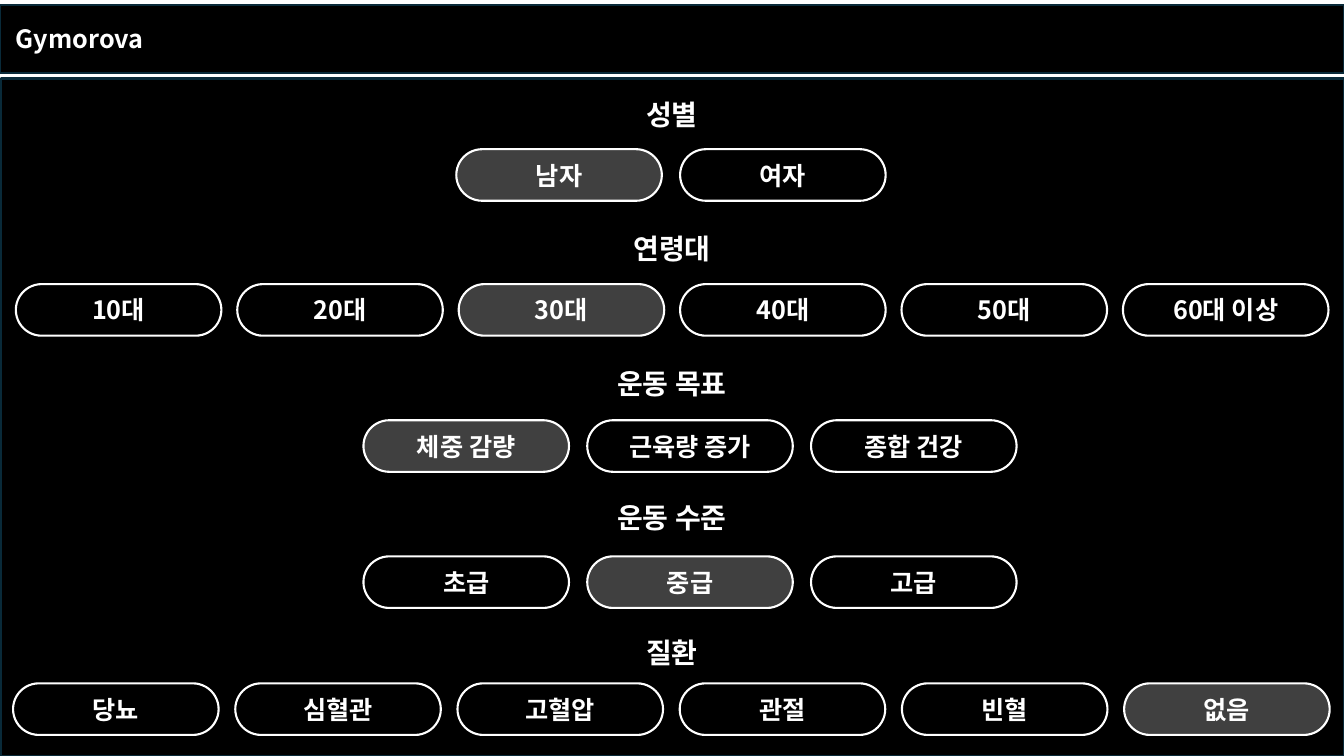
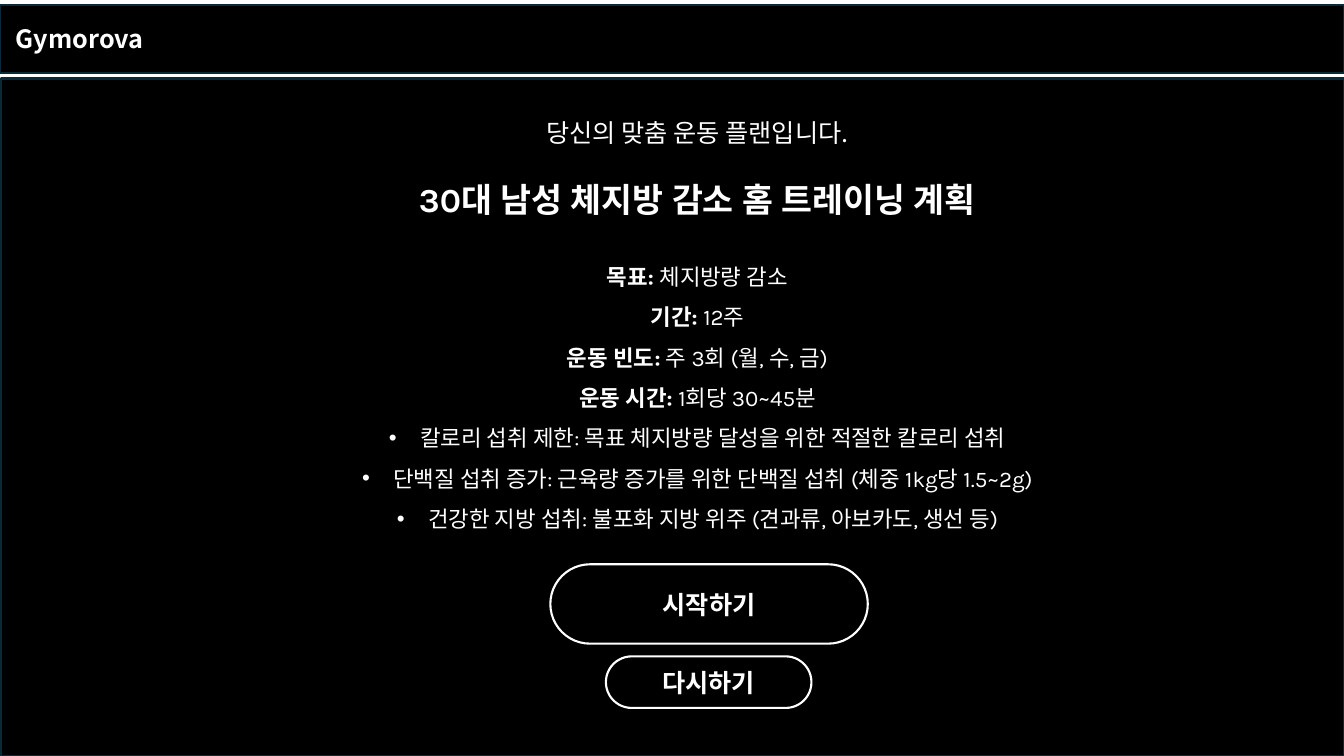
from lxml.etree import SubElement
from pptx import Presentation
from pptx.dml.color import RGBColor
from pptx.enum.shapes import MSO_SHAPE
from pptx.enum.text import MSO_ANCHOR, MSO_AUTO_SIZE, PP_ALIGN
from pptx.oxml.ns import qn
from pptx.util import Cm, Pt

COLORS = {
    "black": "000000",
    "selected": "404040",
    "white": "FFFFFF",
    "edge": "092A39",
}
SANS = "Noto Sans CJK KR"
KARLA = "Karla"
APP_NAME = "Gymorova"

SLIDE_WIDTH, SLIDE_HEIGHT = 33.87, 19.05
BUTTON_WIDTH, BUTTON_HEIGHT = 5.18, 1.3
HEADING_TOP, HEADING_PITCH, HEADING_HEIGHT = 2.17, 3.39, 1.4

# Heading, top and left of the first button, pitch, options, chosen option
QUESTIONS = [
    ("성별", 3.76, 11.5, 5.64, ["남자", "여자"], "남자"),
    ("연령대", 7.16, 0.4, 5.58,
     ["10대", "20대", "30대", "40대", "50대", "60대 이상"], "30대"),
    ("운동 목표", 10.59, 9.16, 5.64,
     ["체중 감량", "근육량 증가", "종합 건강"], "체중 감량"),
    ("운동 수준", 14.02, 9.16, 5.64, ["초급", "중급", "고급"], "중급"),
    ("질환", 17.22, 0.33, 5.6,
     ["당뇨", "심혈관", "고혈압", "관절", "빈혈", "없음"], "없음"),
]
PLAN_FACTS = [
    ("목표: ", "체지방량 감소"),
    ("기간: ", "12주"),
    ("운동 빈도:", " 주 3회 (월, 수, 금)"),
    ("운동 시간: ", "1회당 30~45분"),
]
DIET_TIPS = [
    "칼로리 섭취 제한: 목표 체지방량 달성을 위한 적절한 칼로리 섭취",
    "단백질 섭취 증가: 근육량 증가를 위한 단백질 섭취 (체중 1kg당 1.5~2g)",
    "건강한 지방 섭취: 불포화 지방 위주 (견과류, 아보카도, 생선 등)",
]


def color(name):
    return RGBColor.from_string(COLORS[name])


def place(shape, left, top, width, height):
    shape.left, shape.top = Cm(left), Cm(top)
    shape.width, shape.height = Cm(width), Cm(height)


def paint(shape, fill, line):
    shape.fill.solid()
    shape.fill.fore_color.rgb = color(fill)
    shape.line.color.rgb = color(line)
    shape.line.width = Pt(1.5)


def style(paragraph, size, face=SANS, bold=False, align=PP_ALIGN.CENTER):
    """Set alignment and font, with the same face for Hangul."""
    paragraph.alignment = align
    font = paragraph.font
    font.size, font.bold, font.name = Pt(size), bold, face
    font.color.rgb = color("white")
    properties = paragraph._p.get_or_add_pPr().find(qn("a:defRPr"))
    SubElement(properties, qn("a:ea")).set("typeface", face)


def set_bullet(paragraph, bulleted):
    properties = paragraph._p.get_or_add_pPr()
    indent = Cm(0.79) if bulleted else 0
    properties.set("marL", str(indent))
    properties.set("indent", str(-indent))
    if not bulleted:
        properties.insert_element_before(
            properties.makeelement(qn("a:buNone")), "a:tabLst", "a:defRPr", "a:extLst")


def add_app_slide(prs, layout_index):
    """Add a slide with the app's title bar and the black panel below it."""
    slide = prs.slides.add_slide(prs.slide_layouts[layout_index])
    app_bar = slide.shapes.title
    place(app_bar, 0, 0.13, SLIDE_WIDTH, 1.7)
    paint(app_bar, "black", "edge")
    frame = app_bar.text_frame
    frame.text = APP_NAME
    frame.margin_left = Cm(0.4)
    frame.vertical_anchor = MSO_ANCHOR.MIDDLE
    style(frame.paragraphs[0], 18, bold=True, align=PP_ALIGN.LEFT)

    panel = slide.shapes.add_shape(
        MSO_SHAPE.RECTANGLE, Cm(0.03), Cm(1.98), Cm(33.84), Cm(17.07))
    panel.shadow.inherit = False
    paint(panel, "black", "edge")
    slide.shapes._spTree.insert(2, panel._element)  # behind the placeholders
    return slide


def add_button(slide, label, left, top, width=BUTTON_WIDTH,
               height=BUTTON_HEIGHT, selected=False):
    button = slide.shapes.add_shape(
        MSO_SHAPE.ROUNDED_RECTANGLE, Cm(left), Cm(top), Cm(width), Cm(height))
    button.adjustments[0] = 0.5
    button.shadow.inherit = False
    paint(button, "selected" if selected else "black", "white")
    button.text_frame.text = label
    button.text_frame.vertical_anchor = MSO_ANCHOR.MIDDLE
    style(button.text_frame.paragraphs[0], 18, bold=True)


def add_heading(slide, text, top):
    heading = slide.shapes.add_textbox(
        0, Cm(top), Cm(SLIDE_WIDTH), Cm(HEADING_HEIGHT))
    frame = heading.text_frame
    frame.word_wrap = True
    frame.vertical_anchor = MSO_ANCHOR.MIDDLE
    frame.text = text
    style(frame.paragraphs[0], 20, bold=True)


def add_survey_slide(prs):
    slide = add_app_slide(prs, 5)
    for row, (heading, top, left, pitch, options, chosen) in enumerate(QUESTIONS):
        add_heading(slide, heading, HEADING_TOP + row * HEADING_PITCH)
        for column, option in enumerate(options):
            add_button(slide, option, left + column * pitch, top,
                       selected=option == chosen)


def add_plan_line(frame, text, size, face=KARLA, label="", bold=False,
                  bulleted=False, spacing=1.0, after=0):
    """Append a paragraph, led by an optional bold label."""
    first = frame.paragraphs[0]
    line = frame.add_paragraph() if first.runs else first
    if label:
        lead = line.add_run()
        lead.text = label
        lead.font.bold = True
    line.add_run().text = text
    line.line_spacing = spacing
    line.space_before, line.space_after = Pt(0), Pt(after)
    style(line, size, face, bold)
    set_bullet(line, bulleted)


def add_plan_slide(prs):
    slide = add_app_slide(prs, 1)
    plan = slide.placeholders[1]
    place(plan, 7.49, 2.84, 20.17, 11.53)
    frame = plan.text_frame
    frame.auto_size = MSO_AUTO_SIZE.NONE
    add_plan_line(frame, "당신의 맞춤 운동 플랜입니다.", 18, SANS, after=22)
    add_plan_line(frame, "30대 남성 체지방 감소 홈 트레이닝 계획", 24,
                  bold=True, after=22)
    for label, value in PLAN_FACTS:
        add_plan_line(frame, value, 16, label=label, spacing=1.5)
    for tip in DIET_TIPS:
        add_plan_line(frame, tip, 16, bulleted=True, spacing=1.5)
    add_button(slide, "시작하기", 13.87, 14.22, 8, 2)
    add_button(slide, "다시하기", 15.27, 16.54)


def main():
    prs = Presentation()
    prs.slide_width, prs.slide_height = Cm(SLIDE_WIDTH), Cm(SLIDE_HEIGHT)
    add_survey_slide(prs)
    add_plan_slide(prs)
    prs.save("out.pptx")


if __name__ == "__main__":
    main()
